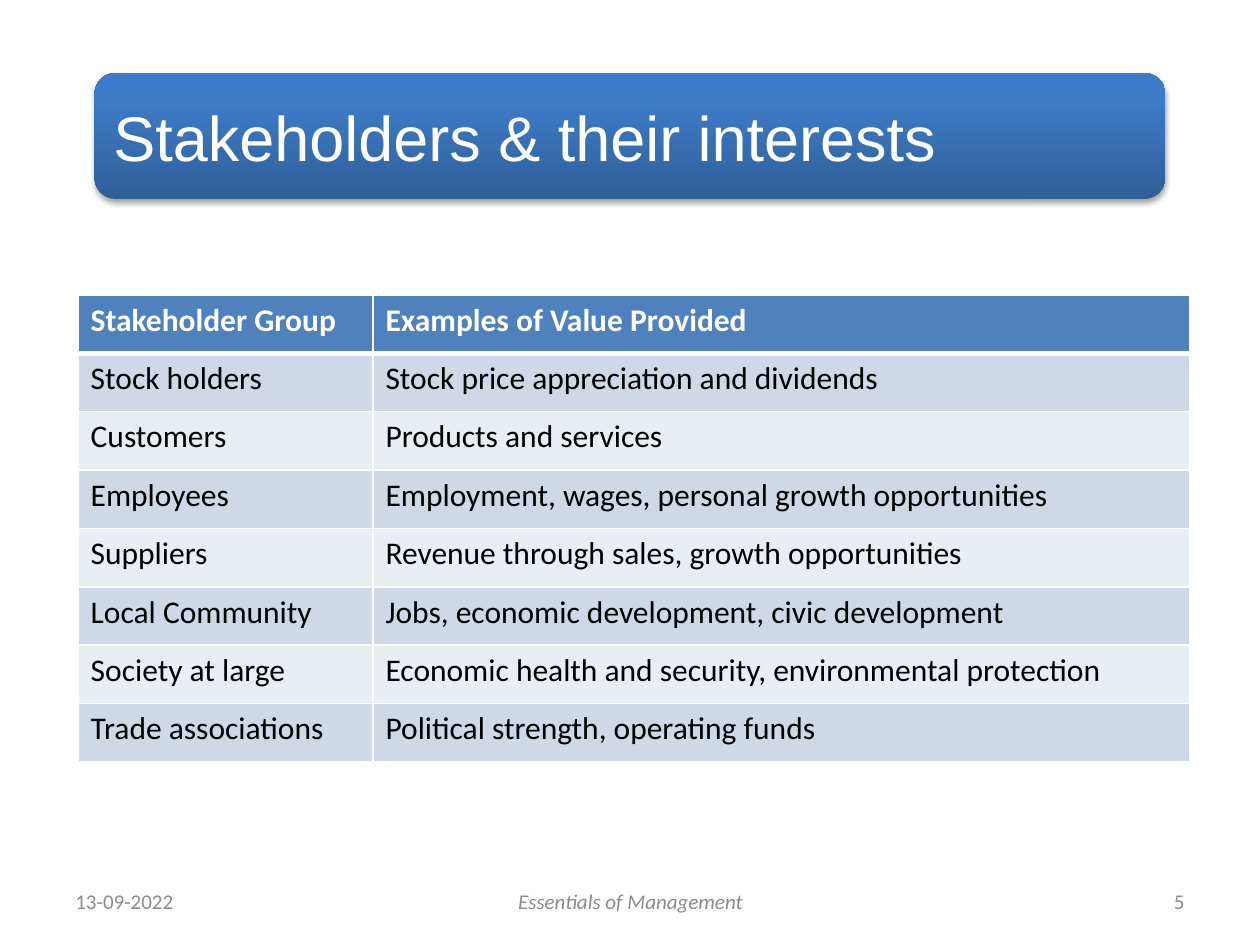
from copy import deepcopy
from dataclasses import dataclass
from typing import NamedTuple

from lxml.etree import SubElement
from pptx import Presentation
from pptx.dml.color import RGBColor
from pptx.enum.shapes import MSO_SHAPE as Preset
from pptx.enum.text import MSO_ANCHOR as Anchor, PP_ALIGN as Align
from pptx.oxml.ns import qn
from pptx.util import Inches, Pt


@dataclass(frozen=True)
class Theme:
    title_font: str = "Arial"
    body_font: str = "Calibri"
    title_size: float = 36
    table_size: float = 18
    footer_size: float = 12
    white: str = "FFFFFF"
    black: str = "000000"
    grey: str = "8C8C8C"
    header: str = "4F81BD"
    bands: tuple = ("D0D8E8", "E9EDF4")
    banner: tuple = ((0, "2F5F99"), (0.8, "3D7CC7"), (1, "3A7CCB"))
    rule: float = 1
    header_rule: float = 3


class Box(NamedTuple):
    left: float
    top: float
    width: float
    height: float

    def lengths(self) -> list:
        return [Inches(value) for value in self]


class Style(NamedTuple):
    font: str
    size: float
    color: str
    bold: bool = False
    italic: bool = False


class Stakeholder(NamedTuple):
    group: str
    value: str


class FooterItem(NamedTuple):
    text: str
    box: Box
    align: Align
    italic: bool = False


THEME = Theme()
BANNER = Box(0.75, 0.58, 8.5, 1)
TABLE = Box(0.62, 2.34, 8.82, 3.71)
COLUMNS = (2.34, 6.48)
FOOTER_TOP, FOOTER_HEIGHT = 6.95, 0.4

HEADINGS = Stakeholder("Stakeholder Group", "Examples of Value Provided")
STAKEHOLDERS = (
    Stakeholder("Stock holders", "Stock price appreciation and dividends"),
    Stakeholder("Customers", "Products and services"),
    Stakeholder("Employees", "Employment, wages, personal growth opportunities"),
    Stakeholder("Suppliers", "Revenue through sales, growth opportunities"),
    Stakeholder("Local Community", "Jobs, economic development, civic development"),
    Stakeholder("Society at large", "Economic health and security, environmental protection"),
    Stakeholder("Trade associations", "Political strength, operating funds"),
)
FOOTER = (
    FooterItem("13-09-2022", Box(0.5, FOOTER_TOP, 2.33, FOOTER_HEIGHT), Align.LEFT),
    FooterItem("Essentials of Management",
               Box(3.42, FOOTER_TOP, 3.17, FOOTER_HEIGHT), Align.CENTER, True),
    FooterItem("5", Box(7.17, FOOTER_TOP, 2.33, FOOTER_HEIGHT), Align.RIGHT),
)


def write(frame, text: str, style: Style, align: Align = Align.LEFT) -> None:
    paragraph = frame.paragraphs[0]
    paragraph.alignment = align
    run = paragraph.add_run()
    run.text = text
    font = run.font
    font.name, font.size = style.font, Pt(style.size)
    font.bold, font.italic = style.bold, style.italic
    font.color.rgb = RGBColor.from_string(style.color)


def add_color(parent, color: str):
    return SubElement(parent, qn("a:srgbClr"), val=color)


def add_banner(slide) -> None:
    shape = slide.shapes.add_shape(Preset.ROUNDED_RECTANGLE, *BANNER.lengths())
    shape.line.fill.background()
    shape.fill.gradient()
    shape.fill.gradient_angle = 90
    properties = shape.element.spPr
    stops = properties.find(qn("a:gradFill")).find(qn("a:gsLst"))
    stops.append(deepcopy(stops[0]))
    for stop, (position, color) in zip(shape.fill.gradient_stops, THEME.banner):
        stop.position = position
        stop.color.rgb = RGBColor.from_string(color)
    shape.shadow.inherit = False
    shadow = SubElement(properties.find(qn("a:effectLst")), qn("a:outerShdw"),
                        blurRad=str(Pt(3.1)), dist=str(Pt(1.8)),
                        dir="5400000", rotWithShape="0")
    SubElement(add_color(shadow, THEME.black), qn("a:alpha"), val="35000")


def place_title(slide, text: str) -> None:
    title = slide.shapes.title
    title.left, title.top, title.width, title.height = BANNER.lengths()
    frame = title.text_frame
    frame.word_wrap = True
    frame.vertical_anchor = Anchor.MIDDLE
    frame.margin_left = frame.margin_right = Inches(0.15)
    write(frame, text, Style(THEME.title_font, THEME.title_size, THEME.white))
    tree = slide.shapes.element
    tree.remove(title.element)
    tree.append(title.element)


def set_borders(cell, widths: dict) -> None:
    properties = cell._tc.get_or_add_tcPr()
    for index, (side, width) in enumerate(widths.items()):
        line = SubElement(properties, qn(f"a:ln{side}"), w=str(Pt(width)))
        add_color(SubElement(line, qn("a:solidFill")), THEME.white)
        properties.insert(index, line)


def add_stakeholder_table(slide) -> None:
    rows = (HEADINGS, *STAKEHOLDERS)
    table = slide.shapes.add_table(len(rows), len(COLUMNS), *TABLE.lengths()).table
    for column, width in zip(table.columns, COLUMNS):
        column.width = Inches(width)
    for row_index, row in enumerate(rows):
        table.rows[row_index].height = Inches(TABLE.height / len(rows))
        heading = row_index == 0
        fill = THEME.header if heading else THEME.bands[(row_index - 1) % 2]
        style = Style(THEME.body_font, THEME.table_size,
                      THEME.white if heading else THEME.black, bold=heading)
        widths = {"L": THEME.rule, "R": THEME.rule,
                  "T": THEME.header_rule if row_index == 1 else THEME.rule,
                  "B": THEME.header_rule if heading else THEME.rule}
        for column_index, text in enumerate(row):
            cell = table.cell(row_index, column_index)
            cell.fill.solid()
            cell.fill.fore_color.rgb = RGBColor.from_string(fill)
            write(cell.text_frame, text, style)
            set_borders(cell, widths)


def add_footer_item(slide, item: FooterItem) -> None:
    frame = slide.shapes.add_textbox(*item.box.lengths()).text_frame
    frame.word_wrap = True
    frame.vertical_anchor = Anchor.MIDDLE
    style = Style(THEME.body_font, THEME.footer_size, THEME.grey, italic=item.italic)
    write(frame, item.text, style, item.align)


def main() -> None:
    presentation = Presentation()
    presentation.slide_width, presentation.slide_height = Inches(10), Inches(7.5)
    slide = presentation.slides.add_slide(presentation.slide_layouts[5])
    add_banner(slide)
    place_title(slide, "Stakeholders & their interests")
    add_stakeholder_table(slide)
    for item in FOOTER:
        add_footer_item(slide, item)
    presentation.save("out.pptx")


main()
